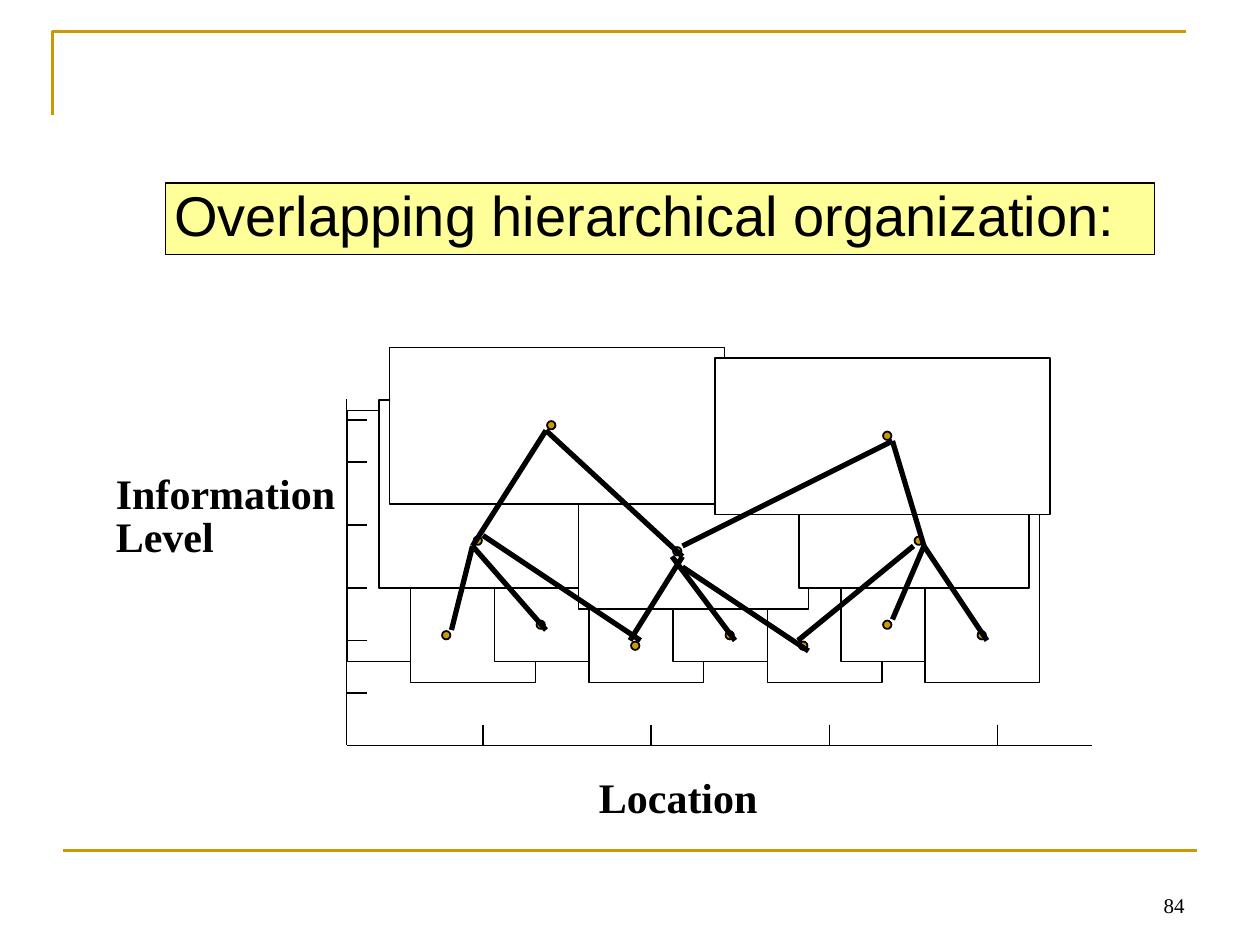
from itertools import chain

from lxml import etree
from pptx import Presentation, util as u
from pptx.dml.color import RGBColor
from pptx.enum import shapes, text
from pptx.oxml.ns import qn

HUE = {"ink": "000000", "gold": "CC9900", "cream": "FFFF99", "white": "FFFFFF"}
CELL = u.Inches(1) / 12
EDGE = 0.1


class Board:
    def __init__(self, deck):
        self.slide = deck.slides.add_slide(deck.slide_layouts[6])
        self.items = self.slide.shapes

    def size(self, *cells):
        return [round(c * CELL) for c in cells]

    def color(self, name):
        return RGBColor.from_string(HUE[name])

    def style(self, item, fill, line="ink", width=1):
        item.shadow.inherit = False
        if fill:
            item.fill.solid()
            item.fill.fore_color.rgb = self.color(fill)
        else:
            item.fill.background()
        item.line.color.rgb = self.color(line)
        item.line.width = u.Pt(width)

    def shape(self, kind, box, fill):
        item = self.items.add_shape(kind, *self.size(*box))
        self.style(item, fill)
        return item

    def rect(self, left, top, wide, high, fill="white"):
        box = (left + EDGE, top + EDGE, wide - EDGE, high - EDGE)
        self.shape(shapes.MSO_SHAPE.RECTANGLE, box, fill)

    def dot(self, left, top):
        box = (left + EDGE, top + EDGE, 0.8, 0.8)
        self.shape(shapes.MSO_SHAPE.OVAL, box, "gold")

    def line(self, x1, y1, x2, y2, width=1, hue="ink"):
        item = self.items.add_connector(
            shapes.MSO_CONNECTOR.STRAIGHT, *self.size(x1, y1, x2, y2))
        item.line.color.rgb = self.color(hue)
        item.line.width = u.Pt(width)
        etree.SubElement(item._element.spPr, qn("a:effectLst"))

    def outline(self, start, *points):
        form = self.items.build_freeform(*self.size(*start))
        form.add_line_segments([self.size(*p) for p in points], close=False)
        self.style(form.convert_to_shape(), None, "gold", 1.5)

    def letter(self, item, words, size, face="Times New Roman", bold=False,
               space=1.0, align=text.PP_ALIGN.LEFT, anchor=text.MSO_ANCHOR.TOP,
               wrap=True, pad=(0.07, 0.03)):
        frame = item.text_frame
        frame.text = words
        frame.word_wrap = wrap
        frame.vertical_anchor = anchor
        frame.margin_left = frame.margin_right = u.Inches(pad[0])
        frame.margin_top = frame.margin_bottom = u.Inches(pad[1])
        for para in frame.paragraphs:
            para.alignment = align
            para.line_spacing = space
            for run in para.runs:
                run.font.size = u.Pt(size)
                run.font.name = face
                run.font.bold = bold
                run.font.color.rgb = self.color("ink")

    def title(self, box, words):
        item = self.shape(shapes.MSO_SHAPE.RECTANGLE, box, "cream")
        self.letter(item, words, 32, "Arial", space=0.94)

    def label(self, box, words):
        item = self.items.add_textbox(*self.size(*box))
        self.letter(item, words, 24, bold=True, space=0.85, wrap=False)

    def number(self, box, words):
        item = self.items.add_textbox(*self.size(*box))
        self.letter(item, words, 12, align=text.PP_ALIGN.RIGHT,
                    anchor=text.MSO_ANCHOR.BOTTOM, pad=(0.1, 0.05))


def main():
    deck = Presentation()
    deck.slide_width, deck.slide_height = u.Inches(10), u.Inches(7.5)
    board = Board(deck)

    board.outline((5, 11), (5, 3), (113, 3))
    board.line(6, 81, 114, 81, 1.5, "gold")
    board.title((15.75, 17.4, 94.2, 6.85), "Overlapping hierarchical organization:")

    left, base = 33, 71
    board.line(left, 38, left, base)
    board.line(left, base, 104, base)
    board.label((56.2, 73.9, 16.8, 4.8), "Location")
    board.label((10.2, 44.9, 22.6, 8.9), "Information\nLevel")
    for y in (40, 44, 50, 56, 61, 66):
        board.line(left, y, left + 2, y)
    for x in (46, 62, 79, 95):
        board.line(x, base - 2, x, base)

    for i, x in enumerate((33, 39, 47, 56, 64, 73, 80, 88)):
        board.rect(x, 39 + i % 2 * 2, 12 if i < 3 else 11, 24,
                   "white" if i else None)
    for x, y in ((36, 38), (55, 40), (76, 38)):
        board.rect(x, y, 22, 18)
    for x, y in ((37, 33), (68, 34)):
        board.rect(x, y, 32, 15)

    roots = (52, 40), (84, 41)
    nodes = (45, 51), (64, 52), (87, 51)
    leaves = ((42, 60), (51, 59), (60, 61), (69, 60), (76, 61), (84, 59),
              (93, 60))
    for spot in chain(roots, nodes, leaves):
        board.dot(*spot)

    links = {
        (52, 41): [(45, 52), (65, 53)],
        (85, 42): [(65, 52), (88, 52)],
        (45, 52): [(43, 60), (52, 60)],
        (46, 51): [(61, 61)],
        (65, 53): [(60, 61)],
        (64, 53): [(70, 61)],
        (65, 54): [(77, 62)],
        (87, 52): [(76, 61)],
        (88, 52): [(85, 59), (94, 61)],
    }
    for start, ends in links.items():
        for end in ends:
            board.line(*start, *end, 3)

    board.number((86, 82, 28, 6), "84")
    deck.save("out.pptx")


if __name__ == "__main__":
    main()
